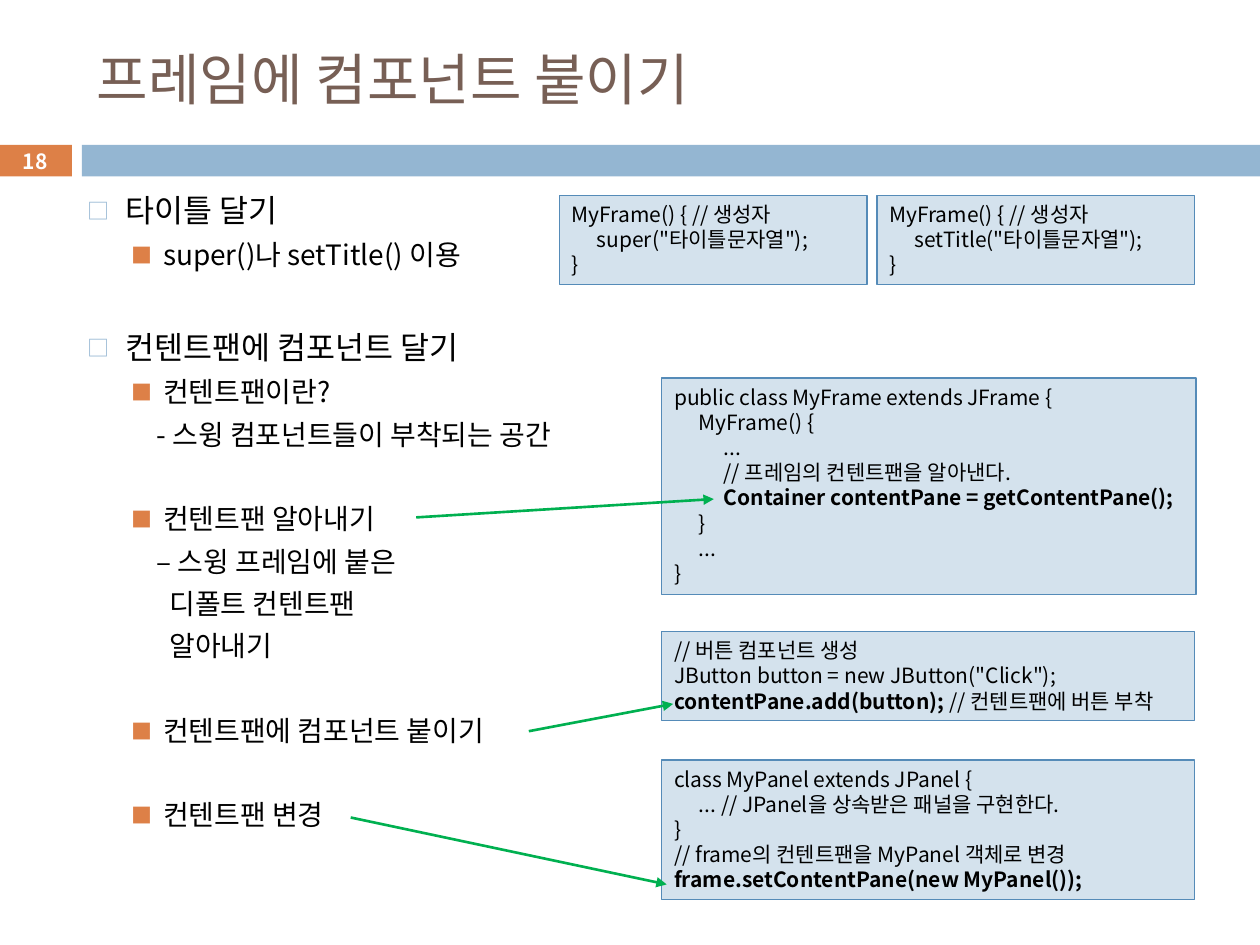
from lxml.etree import SubElement
from pptx import Presentation
from pptx.dml.color import RGBColor
from pptx.enum.shapes import MSO_CONNECTOR as Connector, MSO_SHAPE as Shape
from pptx.enum.text import MSO_ANCHOR as Anchor, MSO_AUTO_SIZE as AutoSize, PP_ALIGN as Align
from pptx.oxml.ns import qn
from pptx.util import Cm, Pt

FONT = "Noto Sans CJK KR"
ORANGE, BLUE, GREEN = "DD8047", "94B6D2", "00B050"


def color(hex_string):
    return RGBColor.from_string(hex_string)


def add_run(paragraph, text, size, hex_string="000000", bold=False):
    """Add a run whose Latin and East Asian fonts are both FONT."""
    run = paragraph.add_run()
    run.text = text
    run.font.size = Pt(size)
    run.font.bold = bold
    run.font.color.rgb = color(hex_string)
    run.font.name = FONT
    SubElement(run.font._element, qn("a:ea"), typeface=FONT)


presentation = Presentation()
presentation.slide_width, presentation.slide_height = Cm(25.4), Cm(19.05)
slide = presentation.slides.add_slide(presentation.slide_layouts[5])
shapes = slide.shapes

# Title
title = shapes.title
title.left, title.top, title.width, title.height = Cm(1.7), Cm(0.64), Cm(22.66), Cm(1.88)
title.text_frame.vertical_anchor = Anchor.MIDDLE
title.text_frame.auto_size = AutoSize.NONE
paragraph = title.text_frame.paragraphs[0]
paragraph.alignment = Align.LEFT
add_run(paragraph, "프레임에 컴포넌트 붙이기", 32, "775F55")

# Band under the title, with the slide number at its left end
for left, width, fill, number in ((-0.03, 1.48, ORANGE, "18"), (1.65, 23.75, BLUE, "")):
    band = shapes.add_shape(Shape.RECTANGLE, Cm(left), Cm(2.92), Cm(width), Cm(0.64))
    band.shadow.inherit = False
    band.fill.solid()
    band.fill.fore_color.rgb = color(fill)
    band.line.fill.background()
    if number:
        frame = band.text_frame
        frame.margin_top = frame.margin_bottom = 0
        frame.vertical_anchor = Anchor.MIDDLE
        frame.paragraphs[0].alignment = Align.CENTER
        add_run(frame.paragraphs[0], number, 12, "FFFFFF", True)

# Outline: style -> size, left margin, hanging indent, space before, bullet
STYLES = {
    "topic": (18, 1.78, -0.76, 5.5, ("□", BLUE, 70)),
    "point": (16, 2.54, -0.64, 5, ("■", ORANGE, 75)),
    "dash": (16, 2.41, 0, 5, None),
    "dash continued": (16, 2.67, 0, 5, None),
}
# Style, text, extra space before in points
OUTLINE = [
    ("topic", "타이틀 달기", 0),
    ("point", "super()나 setTitle() 이용", 0),
    ("topic", "컨텐트팬에 컴포넌트 달기", 27),
    ("point", "컨텐트팬이란?", 0),
    ("dash", "- 스윙 컴포넌트들이 부착되는 공간", 0),
    ("point", "컨텐트팬 알아내기", 24.2),
    ("dash", "– 스윙 프레임에 붙은", 0),
    ("dash continued", "디폴트 컨텐트팬", 0),
    ("dash continued", "알아내기", 0),
    ("point", "컨텐트팬에 컴포넌트 붙이기", 24.2),
    ("point", "컨텐트팬 변경", 24.2),
]
outline = shapes.add_textbox(Cm(0.5), Cm(3.73), Cm(22.66), Cm(14))
frame = outline.text_frame
frame.word_wrap = True
for index, (style, text, gap) in enumerate(OUTLINE):
    size, margin, indent, before, bullet = STYLES[style]
    paragraph = frame.add_paragraph() if index else frame.paragraphs[0]
    paragraph.line_spacing = Pt(size * 1.2)
    paragraph.space_before = Pt(before + gap)
    properties = paragraph._p.get_or_add_pPr()
    properties.set("marL", str(Cm(margin)))
    properties.set("indent", str(Cm(indent)))
    if bullet:
        character, bullet_color, percent = bullet
        SubElement(SubElement(properties, qn("a:buClr")), qn("a:srgbClr"), val=bullet_color)
        SubElement(properties, qn("a:buSzPct"), val=str(percent * 1000))
        SubElement(properties, qn("a:buFont"), typeface=FONT)
        SubElement(properties, qn("a:buChar"), char=character)
    add_run(paragraph, text, size)

# Code boxes: left, top, width, height, lines of (level, bold part, plain part)
CODE_BOXES = [
    (13.34, 7.62, 10.77, 4.37, [
        (0, "", "public class MyFrame extends JFrame {"),
        (1, "", "MyFrame() {"),
        (2, "", "..."),
        (2, "", "// 프레임의 컨텐트팬을 알아낸다."),
        (2, "Container contentPane = getContentPane();", ""),
        (1, "", "}"),
        (1, "", "..."),
        (0, "", "}")]),
    (13.34, 15.32, 10.74, 2.82, [
        (0, "", "class MyPanel extends JPanel {"),
        (1, "", "... // JPanel을 상속받은 패널을 구현한다."),
        (0, "", "}"),
        (0, "", "// frame의 컨텐트팬을 MyPanel 객체로 변경"),
        (0, "frame.setContentPane(new MyPanel());", "")]),
    (13.34, 12.73, 10.74, 1.8, [
        (0, "", "// 버튼 컴포넌트 생성"),
        (0, "", 'JButton button = new JButton("Click");'),
        (0, "contentPane.add(button); ", "// 컨텐트팬에 버튼 부착")]),
]
for left, width, call in ((11.28, 6.2, "super"), (17.68, 6.4, "setTitle")):
    CODE_BOXES.append((left, 3.94, width, 1.8, [
        (0, "", "MyFrame() { // 생성자"),
        (1, "", f'{call}("타이틀문자열");'),
        (0, "", "}")]))

for left, top, width, height, lines in CODE_BOXES:
    box = shapes.add_shape(Shape.RECTANGLE, Cm(left), Cm(top), Cm(width), Cm(height))
    box.shadow.inherit = False
    box.fill.solid()
    box.fill.fore_color.rgb = color("D4E2ED")
    box.line.color.rgb = color("558BB8")
    box.line.width = Pt(0.75)
    frame = box.text_frame
    frame.word_wrap = True
    frame.vertical_anchor = Anchor.TOP
    for index, (level, bold_part, plain_part) in enumerate(lines):
        paragraph = frame.add_paragraph() if index else frame.paragraphs[0]
        paragraph.alignment = Align.LEFT
        paragraph.line_spacing = Pt(14.4)
        paragraph._p.get_or_add_pPr().set("marL", str(Cm(0.5 * level)))
        if bold_part:
            add_run(paragraph, bold_part, 12, bold=True)
        if plain_part:
            add_run(paragraph, plain_part, 12)

# Arrows from the outline points to the code lines
for ends in ((8.39, 10.43, 14.39, 10.06), (10.66, 14.74, 13.57, 14.19), (7.07, 16.48, 13.44, 17.83)):
    arrow = shapes.add_connector(Connector.STRAIGHT, *map(Cm, ends))
    arrow.line.color.rgb = color(GREEN)
    arrow.line.width = Pt(1.5)
    SubElement(arrow.line._get_or_add_ln(), qn("a:tailEnd"), type="triangle")
    SubElement(arrow._element.spPr, qn("a:effectLst"))

presentation.save("out.pptx")
